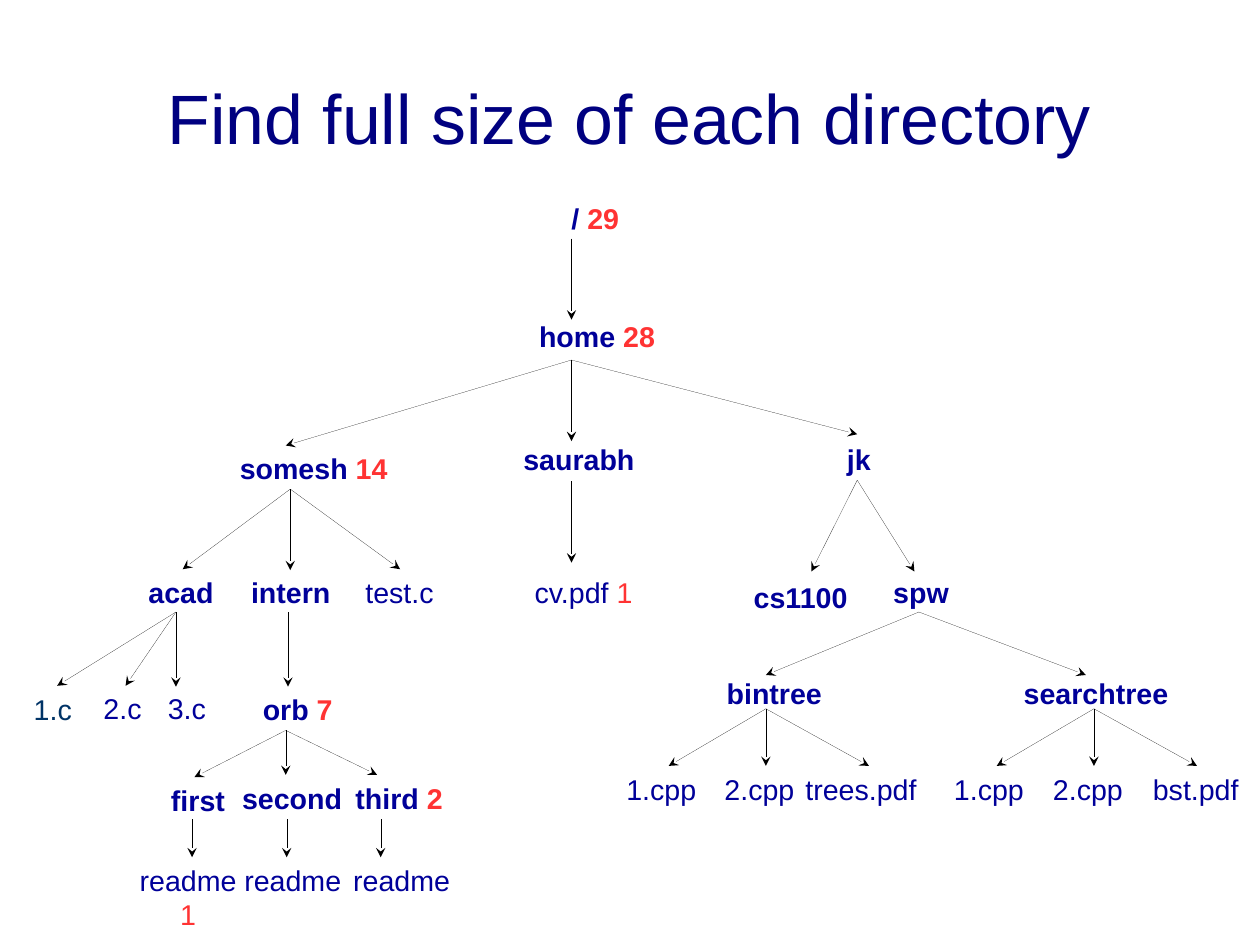
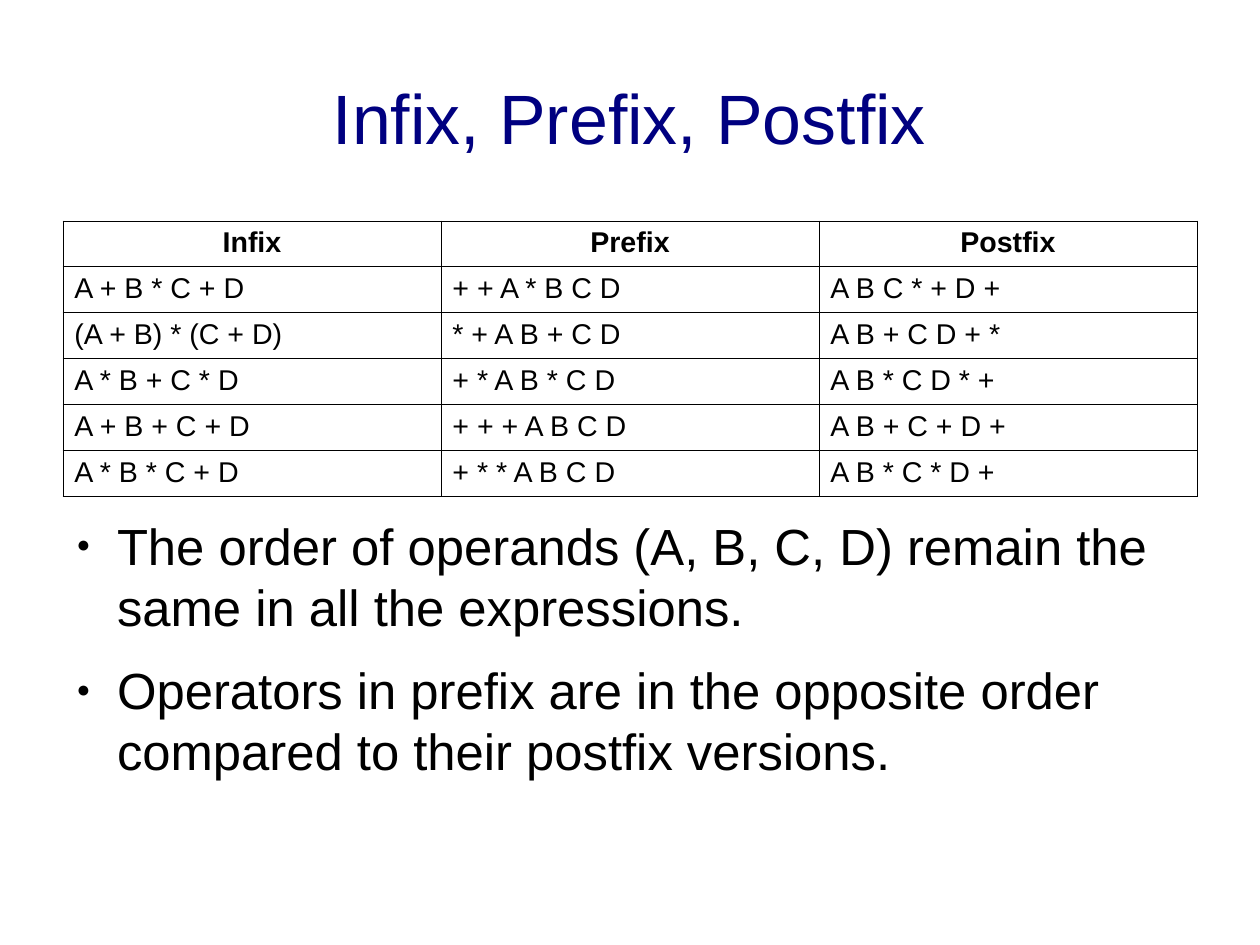
from pptx import Presentation
from pptx.dml.color import RGBColor
from pptx.enum.shapes import MSO_CONNECTOR as CONN
from pptx.enum.text import MSO_ANCHOR as ANCHOR, MSO_AUTO_SIZE as FIT, PP_ALIGN as ALIGN
from pptx.oxml.ns import qn
from pptx.util import Cm, Pt
from lxml.etree import SubElement

FONT = "Arial"
COLORS = {
    "title": "000080",
    "node": "000099",
    "teal": "003366",
    "size": "FF3333",
    "text": "000000",
}
TITLE_ONLY, TITLE_BODY = 5, 1
MARGIN, CONTENT_W = 1.4, 25.2

DIRS = [
    ("/", "29", 12.45, 4.35, 2.5),
    ("home", "28", 11.73, 6.97, 3.3),
    ("somesh", "14", 5.08, 9.9, 5.1),
    ("saurabh", "", 11.38, 9.7, 5.1),
    ("jk", "", 18.57, 9.7, 5.1),
    ("acad", "", 3.05, 12.65, 2.2),
    ("intern", "", 5.33, 12.65, 2.5),
    ("cs1100", "", 16.5, 12.76, 2.8),
    ("spw", "", 19.6, 12.65, 2.8),
    ("orb", "7", 5.59, 15.25, 2.3),
    ("bintree", "", 15.9, 14.9, 3.3),
    ("searchtree", "", 22.5, 14.9, 4.1),
    ("first", "", 3.55, 17.27, 1.9),
    ("second", "", 5.13, 17.22, 3),
    ("third", "2", 7.65, 17.22, 3.3),
]
FILES = [
    ("test.c", "", 7.87, 12.65, 2.3),
    ("cv.pdf", "1", 11.63, 12.65, 2.8),
    ("2.c", "", 2.05, 15.23, 1.5),
    ("3.c", "", 3.48, 15.23, 1.8),
    ("readme", "", 5.18, 19.05, 2.8),
    ("readme", "", 7.6, 19.05, 2.8),
    ("1.cpp", "", 13.67, 17.02, 2.3),
    ("2.cpp", "", 15.85, 17.02, 2.3),
    ("trees.pdf", "", 17.65, 17.02, 3.2),
    ("1.cpp", "", 20.95, 17.02, 2.3),
    ("2.cpp", "", 23.15, 17.02, 2.3),
    ("bst.pdf", "", 25.37, 17.02, 2.65),
]
FANS = [
    ((12.7, 5.3), [(12.7, 7.1)]),
    ((12.7, 8), [(6.35, 9.9), (12.7, 9.8), (19.05, 9.65)]),
    ((12.7, 10.7), [(12.7, 12.5)]),
    ((6.45, 10.87), [(4.06, 12.65), (6.45, 12.67), (8.89, 12.65)]),
    ((19.05, 10.67), [(18.03, 12.7), (20.32, 12.7)]),
    ((3.91, 13.6), [(1.27, 15.24), (2.79, 15.24), (3.91, 15.26)]),
    ((6.4, 13.6), [(6.4, 15.26)]),
    ((20.42, 13.6), [(17.02, 15), (24.13, 15)]),
    ((6.35, 16.23), [(4.32, 17.27), (6.35, 17.22), (8.38, 17.22)]),
]
README_ARROWS = [4.27, 6.37, 8.46]
LEAF_FANS = [17.02, 24.31]
LEAF_OFFSETS = [-2.16, 0, 2.29]

EXPRESSIONS = [
    ("Infix", "Prefix", "Postfix"),
    ("A + B * C + D", "+ + A * B C D", "A B C * + D +"),
    ("(A + B) * (C + D)", "* + A B + C D", "A B + C D + *"),
    ("A * B + C * D", "+ * A B * C D", "A B * C D * +"),
    ("A + B + C + D", "+ + + A B C D", "A B + C + D +"),
    ("A * B * C + D", "+ * * A B C D", "A B * C * D +"),
]
NOTES = [
    "The order of operands (A, B, C, D) remain the same in all the expressions.",
    "Operators in prefix are in the opposite order compared to their postfix versions.",
]


def add_run(p, text, size, color, bold=False):
    r = p.add_run()
    r.text = text
    r.font.name = FONT
    r.font.size = Pt(size)
    r.font.bold = bold
    r.font.color.rgb = RGBColor.from_string(COLORS[color])


def place(sp, left, top, width, height):
    sp.left, sp.top, sp.width, sp.height = Cm(left), Cm(top), Cm(width), Cm(height)


def clear_frame(sp, anchor):
    tf = sp.text_frame
    tf.auto_size = FIT.NONE
    tf.word_wrap = True
    tf.vertical_anchor = anchor
    tf.margin_left = tf.margin_right = tf.margin_top = tf.margin_bottom = 0
    return tf


def add_slide(prs, layout, title):
    s = prs.slides.add_slide(prs.slide_layouts[layout])
    place(s.shapes.title, MARGIN, 0.84, CONTENT_W, 3.5)
    p = clear_frame(s.shapes.title, ANCHOR.MIDDLE).paragraphs[0]
    p.alignment = ALIGN.CENTER
    add_run(p, title, 44, "title")
    return s


def add_node(s, name, size, left, top, width, bold=False, color="node", stacked=False):
    sp = s.shapes.add_textbox(Cm(left), Cm(top), Cm(width), Cm(1.7 if stacked else 0.95))
    tf = sp.text_frame
    tf.word_wrap = True
    p = tf.paragraphs[0]
    add_run(p, name + " " if size and not stacked else name, 18, color, bold)
    if stacked:
        p.alignment = ALIGN.CENTER
        p = tf.add_paragraph()
        p.alignment = ALIGN.CENTER
    if size:
        add_run(p, size, 18, "size", bold)


def add_arrow(s, start, end):
    c = s.shapes.add_connector(CONN.STRAIGHT, *(Cm(v) for v in start + end))
    c.line.color.rgb = RGBColor.from_string(COLORS["text"])
    ln = c._element.spPr.find(qn("a:ln"))
    ln.set("w", "0")
    SubElement(ln, qn("a:tailEnd"), type="stealth")
    SubElement(c._element.spPr, qn("a:effectLst"))


def add_fan(s, start, ends):
    for end in ends:
        add_arrow(s, start, end)


def add_borders(cell):
    tcPr = cell._tc.get_or_add_tcPr()
    for side in ("lnL", "lnR", "lnT", "lnB"):
        ln = SubElement(tcPr, qn("a:" + side), w=str(Pt(0.57)))
        fill = SubElement(ln, qn("a:solidFill"))
        SubElement(fill, qn("a:srgbClr"), val=COLORS["text"])


def add_grid(s, rows, left, top, width, row_height):
    frame = s.shapes.add_table(len(rows), len(rows[0]), Cm(left), Cm(top),
                               Cm(width), Cm(row_height * len(rows)))
    table = frame.table
    table.first_row = table.horz_banding = False
    for i, row in enumerate(rows):
        table.rows[i].height = Cm(row_height)
        for j, text in enumerate(row):
            cell = table.cell(i, j)
            add_borders(cell)
            cell.fill.background()
            p = cell.text_frame.paragraphs[0]
            p.alignment = ALIGN.LEFT if i else ALIGN.CENTER
            add_run(p, text, 18, "text", bold=i == 0)


def add_bullet(p):
    pPr = p._p.get_or_add_pPr()
    pPr.set("marL", str(Cm(1.2)))
    pPr.set("indent", str(-Cm(0.9)))
    color = SubElement(pPr, qn("a:buClr"))
    SubElement(color, qn("a:srgbClr"), val=COLORS["text"])
    SubElement(pPr, qn("a:buSzPct"), val="45000")
    SubElement(pPr, qn("a:buChar"), char="●")


def fill_bullets(sp, items):
    tf = clear_frame(sp, ANCHOR.TOP)
    for i, text in enumerate(items):
        p = tf.add_paragraph() if i else tf.paragraphs[0]
        add_bullet(p)
        p.space_before = Pt(0)
        p.space_after = Pt(14.2)
        add_run(p, text, 32, "text")


def directory_slide(prs):
    s = add_slide(prs, TITLE_ONLY, "Find full size of each directory")
    for node in DIRS:
        add_node(s, *node, bold=True)
    for node in FILES:
        add_node(s, *node)
    add_node(s, "1.c", "", 0.5, 15.25, 1.55, color="teal")
    add_node(s, "readme", "1", 2.78, 19.05, 2.8, stacked=True)
    for start, ends in FANS:
        add_fan(s, start, ends)
    for x in README_ARROWS:
        add_arrow(s, (x, 18.2), (x, 19.05))
    for x in LEAF_FANS:
        add_fan(s, (x, 15.75), [(x + dx, 17.02) for dx in LEAF_OFFSETS])


def notation_slide(prs):
    s = add_slide(prs, TITLE_BODY, "Infix, Prefix, Postfix")
    add_grid(s, EXPRESSIONS, MARGIN, 4.91, CONTENT_W, 1.02)
    body = s.placeholders[1]
    place(body, MARGIN, 11.43, CONTENT_W, 8.9)
    fill_bullets(body, NOTES)


def main():
    prs = Presentation()
    prs.slide_width, prs.slide_height = Cm(28), Cm(21)
    directory_slide(prs)
    notation_slide(prs)
    prs.save("out.pptx")


if __name__ == "__main__":
    main()
